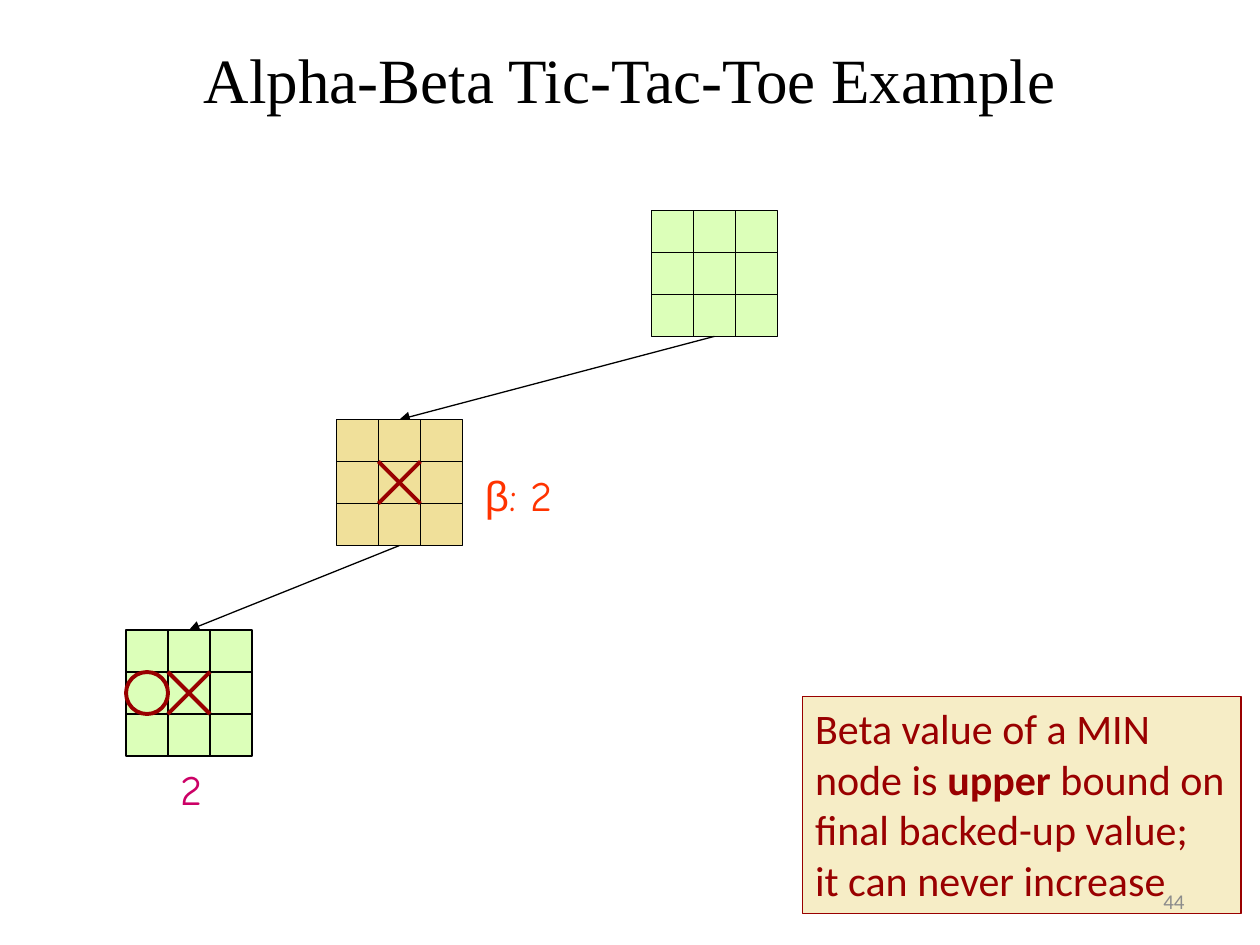
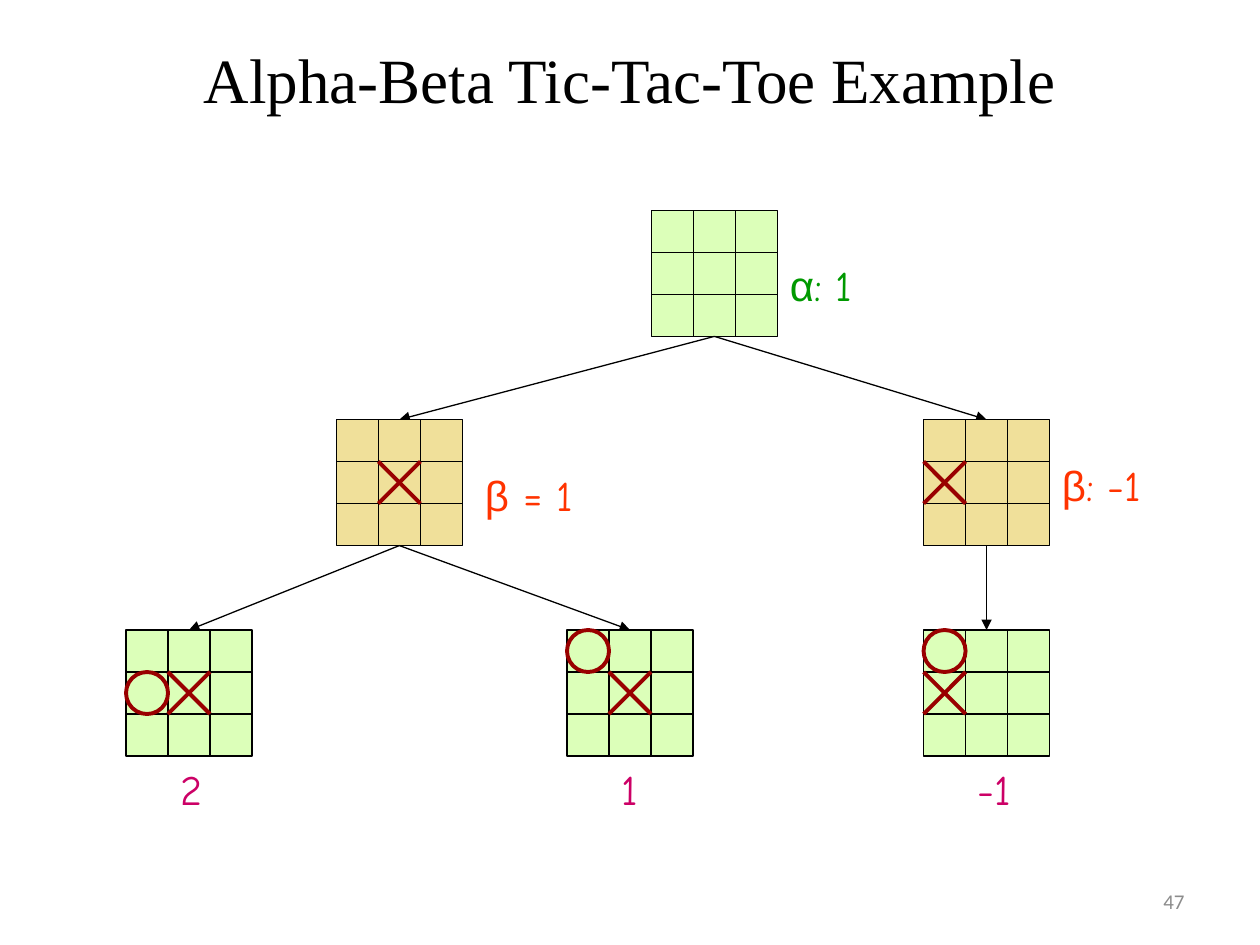
from dataclasses import dataclass
from typing import Optional

from lxml import etree
from pptx import Presentation
from pptx.dml.color import RGBColor
from pptx.enum.shapes import MSO_CONNECTOR, MSO_SHAPE
from pptx.enum.text import MSO_ANCHOR, PP_ALIGN
from pptx.oxml.ns import qn
from pptx.util import Inches, Pt

STRAIGHT = MSO_CONNECTOR.STRAIGHT
RECTANGLE, OVAL = MSO_SHAPE.RECTANGLE, MSO_SHAPE.OVAL
TOP, MIDDLE = MSO_ANCHOR.TOP, MSO_ANCHOR.MIDDLE
LEFT, CENTER, RIGHT = PP_ALIGN.LEFT, PP_ALIGN.CENTER, PP_ALIGN.RIGHT

BLACK, DARK_RED, GREY = "000000", "990000", "8C8C8C"
MAX_FILL, MIN_FILL, CALLOUT_FILL = "DCFFB9", "F0E09A", "F6EDC6"
ALPHA_COLOR, BETA_COLOR, SCORE_COLOR = "009900", "FF3300", "CC0066"
SERIF, SANS, GREEK, HAND = "Times New Roman", "Calibri", "Arial", "Comic Neue"

TITLE = "Alpha-Beta Tic-Tac-Toe Example"
BOARD_SIZE = 1.0
CELL = BOARD_SIZE / 3
THIN, THICK = 0.75, 2.25
MAX_TOP, MIN_TOP, LEAF_TOP = 1.67, 3.33, 5.0


@dataclass(frozen=True)
class Span:
    text: str
    font: str
    color: str
    size: float = 24
    bold: bool = False


@dataclass(frozen=True)
class Area:
    left: float
    top: float
    width: float
    height: float

    def lengths(self) -> list:
        return [Inches(v) for v in (self.left, self.top, self.width, self.height)]


@dataclass(frozen=True)
class Board:
    """A node of the game tree; marks are (column, row) cells."""
    left: float
    top: float
    fill: str = MAX_FILL
    cross: Optional[tuple[int, int]] = None
    nought: Optional[tuple[int, int]] = None
    parent: Optional["Board"] = None
    score: str = ""
    score_width: float = 0.4

    @property
    def center(self) -> float:
        return self.left + BOARD_SIZE / 2

    def corner(self, column: int, row: int) -> tuple[float, float]:
        return self.left + column * CELL, self.top + row * CELL


@dataclass(frozen=True)
class Bound:
    """An alpha or beta value written beside a board."""
    area: Area
    letter: str
    value: str
    color: str


@dataclass(frozen=True)
class Tree:
    number: str
    boards: list[Board]
    bounds: list[Bound]
    callout: bool = False


def rgb(value: str) -> RGBColor:
    return RGBColor.from_string(value)


def fill_text(frame, lines: list[list[Span]], align=LEFT, anchor=TOP, wrap=False) -> None:
    frame.word_wrap = wrap
    frame.vertical_anchor = anchor
    frame.text = "\n".join("" for _ in lines)
    for para, spans in zip(frame.paragraphs, lines):
        para.alignment = align
        for span in spans:
            run = para.add_run()
            run.text = span.text
            run.font.name = span.font
            run.font.size = Pt(span.size)
            run.font.bold = span.bold
            run.font.color.rgb = rgb(span.color)


def add_text(page, area: Area, spans: list[Span], **options) -> None:
    box = page.shapes.add_textbox(*area.lengths())
    fill_text(box.text_frame, [spans], **options)


def add_outline(page, kind, area: Area, color: str, width: float, fill: Optional[str] = None):
    shape = page.shapes.add_shape(kind, *area.lengths())
    shape.shadow.inherit = False
    if fill:
        shape.fill.solid()
        shape.fill.fore_color.rgb = rgb(fill)
    else:
        shape.fill.background()
    shape.line.color.rgb = rgb(color)
    shape.line.width = Pt(width)
    return shape


def add_line(page, start: tuple[float, float], end: tuple[float, float],
             color: str = BLACK, width: float = THIN, arrow: bool = False) -> None:
    line = page.shapes.add_connector(STRAIGHT, *[Inches(v) for v in (*start, *end)])
    line.line.color.rgb = rgb(color)
    line.line.width = Pt(width)
    properties = line._element.spPr
    if arrow:
        etree.SubElement(properties.find(qn("a:ln")), qn("a:tailEnd"), type="triangle")
    etree.SubElement(properties, qn("a:effectLst"))


def add_board(page, board: Board) -> None:
    # Arrow from the parent's bottom edge
    if board.parent:
        add_line(page, (board.parent.center, board.parent.top + BOARD_SIZE),
                 (board.center, board.top), arrow=True)
    # Square and grid
    add_outline(page, RECTANGLE, Area(board.left, board.top, BOARD_SIZE, BOARD_SIZE),
                BLACK, THIN, board.fill)
    for step in (1, 2):
        add_line(page, board.corner(step, 0), board.corner(step, 3))
        add_line(page, board.corner(0, step), board.corner(3, step))
    # Marks
    if board.cross:
        column, row = board.cross
        for first, last in ((row, row + 1), (row + 1, row)):
            add_line(page, board.corner(column, first), board.corner(column + 1, last),
                     DARK_RED, THICK)
    if board.nought:
        add_outline(page, OVAL, Area(*board.corner(*board.nought), CELL, CELL),
                    DARK_RED, THICK)
    # Score under a leaf
    if board.score:
        area = Area(board.left + CELL, board.top + 1.01, board.score_width, 0.5)
        add_text(page, area, [Span(board.score, HAND, SCORE_COLOR)])


def add_callout(page) -> None:
    def words(text: str, bold: bool = False) -> Span:
        return Span(text, SANS, DARK_RED, bold=bold)

    shape = add_outline(page, RECTANGLE, Area(6.37, 5.53, 3.48, 1.72),
                        DARK_RED, THIN, CALLOUT_FILL)
    fill_text(shape.text_frame, [
        [words("Beta value of a MIN")],
        [words("node is "), words("upper", bold=True), words(" bound on")],
        [words("final backed-up value;")],
        [words("it can never increase")],
    ])


def add_page(deck, tree: Tree) -> None:
    page = deck.slides.add_slide(deck.slide_layouts[6])
    add_text(page, Area(0.75, 0, 8.5, 1.25), [Span(TITLE, SERIF, BLACK, 36)],
             align=CENTER, anchor=MIDDLE, wrap=True)
    for board in tree.boards:
        add_board(page, board)
    for bound in tree.bounds:
        add_text(page, bound.area, [Span(bound.letter, GREEK, bound.color),
                                    Span(bound.value, HAND, bound.color)])
    if tree.callout:
        add_callout(page)
    add_text(page, Area(7.17, 6.95, 2.33, 0.4), [Span(tree.number, SANS, GREY, 12)],
             align=RIGHT, anchor=MIDDLE, wrap=True)


# Game tree nodes
ROOT = Board(5.17, MAX_TOP)
CENTER_MOVE = Board(2.67, MIN_TOP, MIN_FILL, cross=(1, 1), parent=ROOT)
SIDE_MOVE = Board(7.33, MIN_TOP, MIN_FILL, cross=(0, 1), parent=ROOT)
SIDE_REPLY = Board(1, LEAF_TOP, cross=(1, 1), nought=(0, 1),
                   parent=CENTER_MOVE, score="2")
CORNER_REPLY = Board(4.5, LEAF_TOP, cross=(1, 1), nought=(0, 0),
                     parent=CENTER_MOVE, score="1", score_width=0.35)
NEXT_REPLY = Board(7.33, LEAF_TOP, cross=(0, 1), nought=(0, 0),
                   parent=SIDE_MOVE, score="-1", score_width=0.49)

TREES = [
    Tree("44", [ROOT, CENTER_MOVE, SIDE_REPLY],
         [Bound(Area(3.75, 3.68, 0.79, 0.5), "β", ": 2", BETA_COLOR)], callout=True),
    Tree("47", [ROOT, CENTER_MOVE, SIDE_MOVE, SIDE_REPLY, CORNER_REPLY, NEXT_REPLY],
         [Bound(Area(6.17, 2.01, 0.76, 0.5), "α", ": 1", ALPHA_COLOR),
          Bound(Area(3.75, 3.68, 0.9, 0.5), "β", " = 1", BETA_COLOR),
          Bound(Area(8.33, 3.6, 0.98, 0.51), "β", ": -1", BETA_COLOR)]),
]


def main() -> None:
    deck = Presentation()
    deck.slide_width, deck.slide_height = Inches(10), Inches(7.5)
    for tree in TREES:
        add_page(deck, tree)
    deck.save("out.pptx")


if __name__ == "__main__":
    main()
